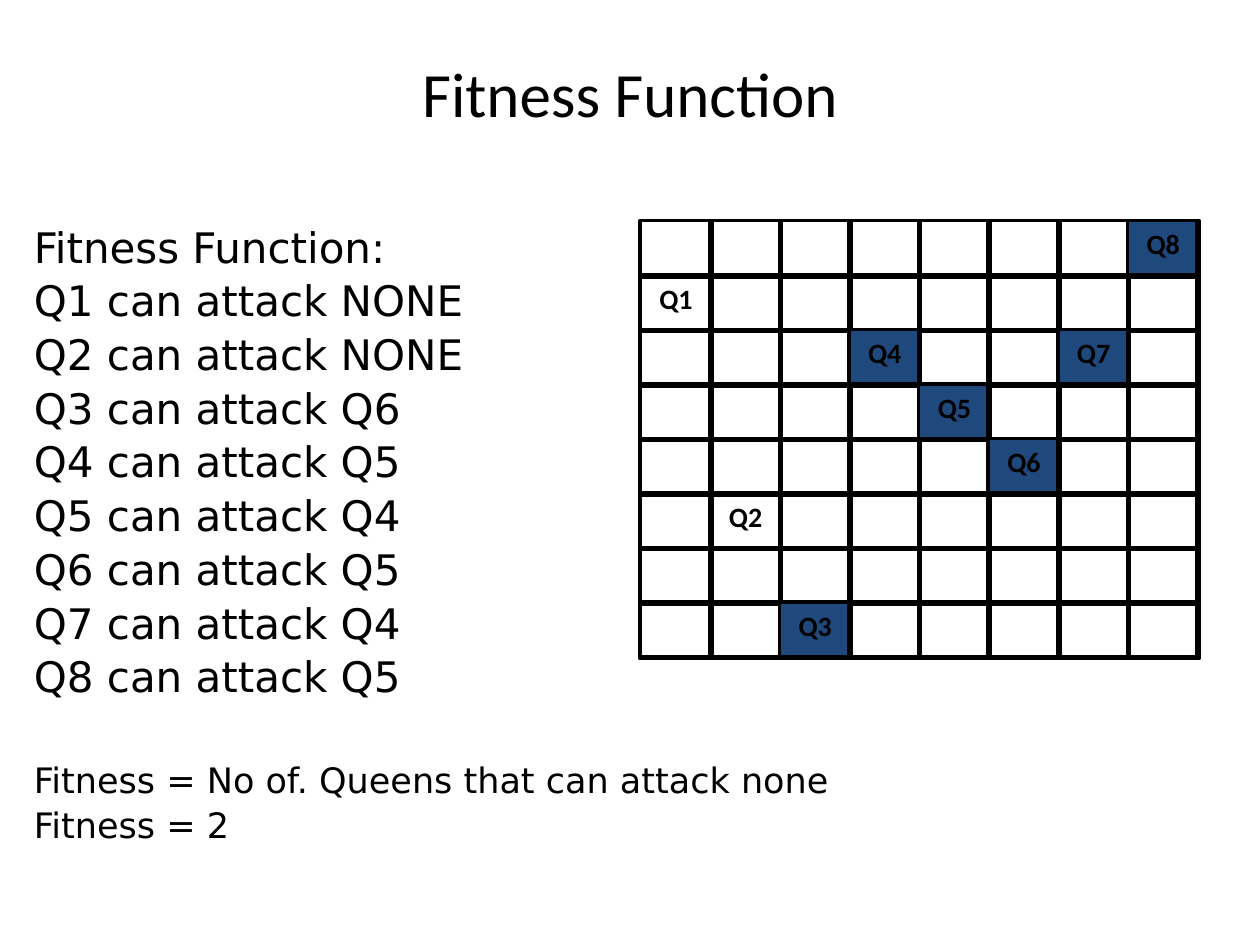
import pptx
import pptx.util
import pptx.dml.color
import pptx.enum.shapes
import pptx.enum.text
import pptx.oxml.ns
import lxml.etree

Inches, Pt = pptx.util.Inches, pptx.util.Pt
ALIGN = pptx.enum.text.PP_ALIGN
ANCHOR = pptx.enum.text.MSO_ANCHOR
RECT = pptx.enum.shapes.MSO_SHAPE.RECTANGLE
LINE = pptx.enum.shapes.MSO_CONNECTOR.STRAIGHT

COLORS = {"ink": "000000", "queen": "1F497D"}
TITLE = "Fitness Function"
HEAD = "Fitness Function:"
ATTACKS = ["NONE", "NONE", "Q6", "Q5", "Q4", "Q5", "Q4", "Q5"]
RESULTS = ["Fitness = No of. Queens that can attack none", "Fitness = 2"]
QUEEN_ROWS = [1, 5, 7, 2, 3, 4, 2, 0]

SIZE = 8
LEFT, TOP, RIGHT, BOTTOM = 5.08, 1.75, 9.5, 5.21
STEP_X, STEP_Y = (RIGHT - LEFT) / SIZE, (BOTTOM - TOP) / SIZE
CELL_W, CELL_H = 0.57, 0.45


def color(name):
    return pptx.dml.color.RGBColor.from_string(COLORS[name])


def style(para, text, size, face, bold=False):
    para.text = text
    para.font.size = Pt(size)
    para.font.name = face
    para.font.bold = bold
    para.font.color.rgb = color("ink")


def add_box(slide, left, top, width, height):
    box = slide.shapes.add_textbox(*map(Inches, (left, top, width, height)))
    box.text_frame.word_wrap = True
    return box.text_frame


def add_body(slide):
    frame = add_box(slide, 0.17, 1.75, 6.59, 5.25)
    lines = [(HEAD, 24, 0)]
    lines += [(f"Q{num} can attack {foe}", 24, 4.8)
              for num, foe in enumerate(ATTACKS, 1)]
    lines += [(text, 20, gap) for text, gap in zip(RESULTS, (35, 4))]
    for i, (text, size, gap) in enumerate(lines):
        para = frame.add_paragraph() if i else frame.paragraphs[0]
        style(para, text, size, "DejaVu Sans")
        para.line_spacing = 0.9
        para.space_before = Pt(gap)


def add_cell(slide, row, col):
    cell = slide.shapes.add_shape(
        RECT, Inches(LEFT + col * STEP_X), Inches(TOP + row * STEP_Y),
        Inches(CELL_W), Inches(CELL_H))
    cell.shadow.inherit = False
    cell.line.color.rgb = color("ink")
    cell.line.width = Pt(2)
    cell.fill.background()
    if QUEEN_ROWS[col] != row:
        return
    if ATTACKS[col] != "NONE":
        cell.fill.solid()
        cell.fill.fore_color.rgb = color("queen")
    frame = cell.text_frame
    frame.vertical_anchor = ANCHOR.TOP
    para = frame.paragraphs[0]
    style(para, f"Q{col + 1}", 16, "Calibri", True)
    para.alignment = ALIGN.CENTER


def add_line(slide, *ends):
    line = slide.shapes.add_connector(LINE, *map(Inches, ends))
    line.line.color.rgb = color("ink")
    line.line.width = Pt(2)
    props = line._element.spPr
    lxml.etree.SubElement(props, pptx.oxml.ns.qn("a:effectLst"))


def add_board(slide):
    for row in range(SIZE):
        for col in range(SIZE):
            add_cell(slide, row, col)
    for i in range(SIZE + 1):
        x, y = LEFT + i * STEP_X, TOP + i * STEP_Y
        add_line(slide, LEFT, y, RIGHT, y)
        add_line(slide, x, TOP, x, BOTTOM)


def main():
    deck = pptx.Presentation()
    deck.slide_width, deck.slide_height = Inches(10), Inches(7.5)
    slide = deck.slides.add_slide(deck.slide_layouts[6])
    frame = add_box(slide, 0.5, 0.42, 9, 0.62)
    frame.vertical_anchor = ANCHOR.MIDDLE
    style(frame.paragraphs[0], TITLE, 36, "Calibri")
    frame.paragraphs[0].alignment = ALIGN.CENTER
    add_body(slide)
    add_board(slide)
    deck.save("out.pptx")


if __name__ == "__main__":
    main()
